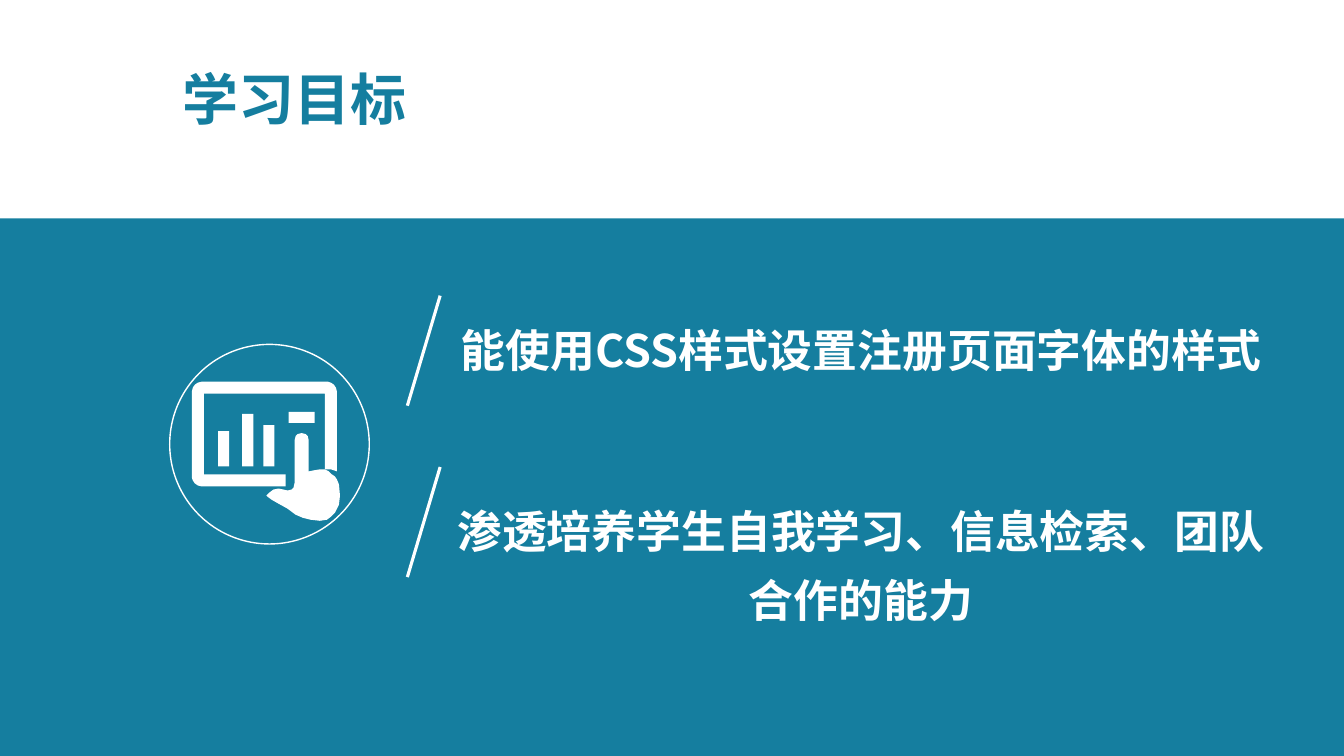
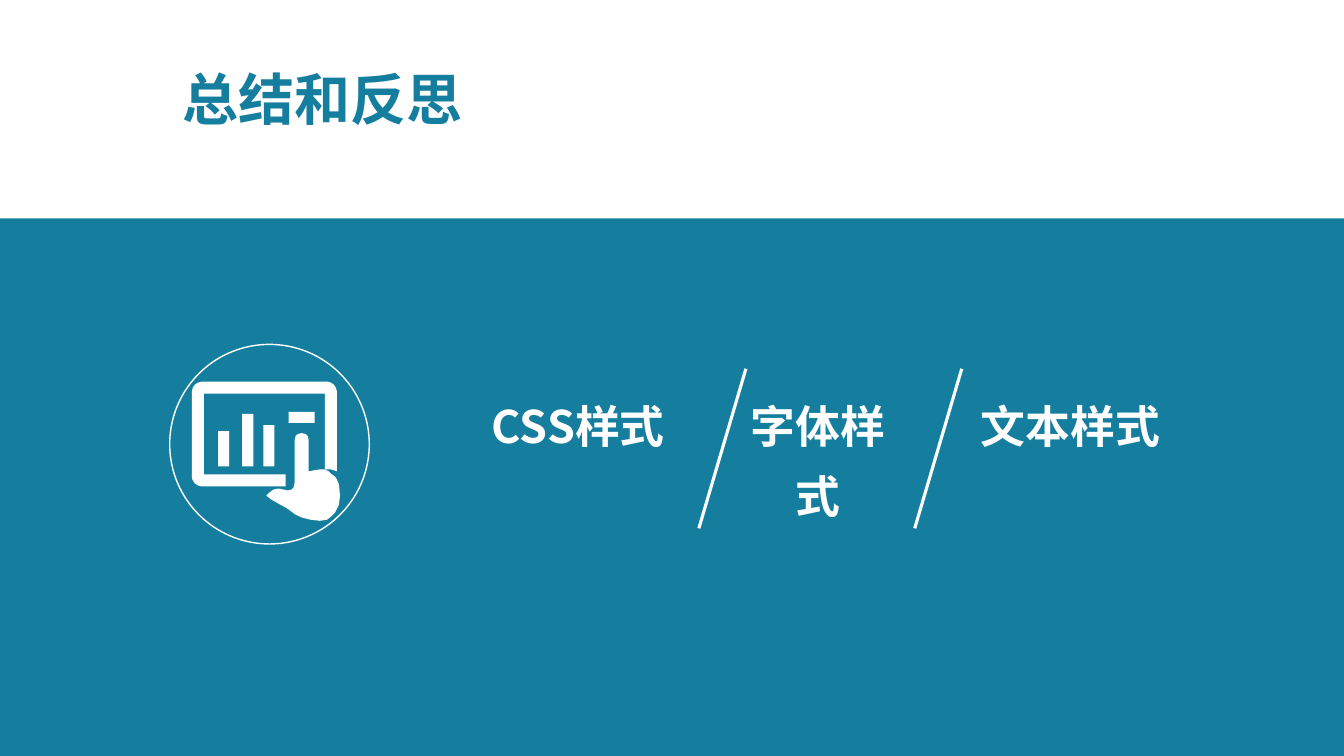
from lxml import etree
from pptx import Presentation
from pptx.dml.color import RGBColor
from pptx.enum.shapes import MSO_CONNECTOR, MSO_SHAPE
from pptx.enum.text import MSO_ANCHOR, MSO_AUTO_SIZE, PP_ALIGN
from pptx.oxml.ns import qn
from pptx.util import Inches, Pt

RECTANGLE, OVAL = MSO_SHAPE.RECTANGLE, MSO_SHAPE.OVAL
STRAIGHT = MSO_CONNECTOR.STRAIGHT
LEFT, CENTER = PP_ALIGN.LEFT, PP_ALIGN.CENTER
TOP = MSO_ANCHOR.TOP
FIXED = MSO_AUTO_SIZE.NONE

COLORS = {"teal": "157E9F", "white": "FFFFFF"}
FONT = "Noto Sans CJK SC"
COLUMNS, ROWS = 160, 90
CELL = Inches(7.5) // ROWS
TITLE_ONLY = 5

# The icon is drawn on a finer grid, counted from the ring's top left corner.
ICON_COLUMN, ICON_ROW = 20.2, 41
ICON_STEP = 0.12
RING_STEPS = 198
BAR_WIDTH, BAR_BOTTOM = 11, 121
BARS = [(48, 35), (72, 52), (93, 41)]
SCREEN_LABEL = (118, 67, 26, 11)
SCREEN = [
    (115, 141), (115, 129), (34, 129), (34, 49), (154, 49), (154, 124),
    (160, 124), (166, 126), (166, 47), (165, 43), (163, 40), (160, 38),
    (157, 37), (32, 37), (28, 38), (25, 40), (23, 43), (22, 47),
    (22, 132), (23, 135), (25, 138), (28, 140), (32, 141),
]
HAND = [
    (158, 126), (154, 124), (149, 124), (143, 125), (138, 126), (138, 95),
    (137, 91), (135, 89), (131, 88), (127, 89), (125, 91), (124, 95),
    (124, 137), (123, 142), (121, 144), (117, 145), (113, 144), (108, 143),
    (103, 144), (99, 147), (96, 150), (97, 151), (101, 154), (108, 158),
    (117, 163), (125, 169), (132, 172), (140, 174), (149, 175), (156, 174),
    (160, 171), (164, 167), (166, 163), (168, 159), (169, 150), (168, 139),
    (166, 134), (164, 131), (161, 129),
]


def cells(*counts):
    return [round(count * CELL) for count in counts]


def color(name):
    return RGBColor.from_string(COLORS[name])


class Deck:
    """Holds the shared style and the page being filled."""

    def __init__(self):
        self.deck = Presentation()
        self.deck.slide_width, self.deck.slide_height = cells(COLUMNS, ROWS)
        self.page = None

    def open_page(self, title):
        """Start a page with the parts that every page shares."""
        layout = self.deck.slide_layouts[TITLE_ONLY]
        self.page = self.deck.slides.add_slide(layout)
        self.shape(self.page.shapes, RECTANGLE, 0, 26, COLUMNS, ROWS - 26, "teal")
        self.title(title)
        self.icon()

    def title(self, text):
        box = self.page.shapes.title
        box.left, box.top, box.width, box.height = cells(20.5, 8, 42, 10.3)
        self.fill_text(box.text_frame, text, 40, "teal", LEFT, 0.9)

    def text(self, text, column, row, width, height):
        box = self.page.shapes.add_textbox(*cells(column, row, width, height))
        self.fill_text(box.text_frame, text, 32, "white", CENTER, 1.3)

    def fill_text(self, frame, text, size, color_name, alignment, spacing):
        frame.text = text
        frame.word_wrap = True
        frame.auto_size = FIXED
        frame.vertical_anchor = TOP
        para = frame.paragraphs[0]
        para.alignment = alignment
        para.line_spacing = spacing
        para.space_before = Pt(0)
        font = para.font
        font.name, font.size, font.bold = FONT, Pt(size), True
        font.color.rgb = color(color_name)
        # East Asian characters take their font from a separate element.
        properties = para._p.pPr.find(qn("a:defRPr"))
        etree.SubElement(properties, qn("a:ea"), typeface=FONT)

    def paint(self, shape, fill):
        shape.shadow.inherit = False
        shape.fill.solid()
        shape.fill.fore_color.rgb = color(fill)
        shape.line.fill.background()

    def shape(self, shapes, kind, column, row, width, height, fill):
        shape = shapes.add_shape(kind, *cells(column, row, width, height))
        self.paint(shape, fill)
        return shape

    def slash(self, column, row, width, height):
        """Draw a slanted line from the top right to the bottom left."""
        line = self.page.shapes.add_connector(
            STRAIGHT, *cells(column + width, row, column, row + height))
        line.line.color.rgb = color("white")
        line.line.width = Pt(2.25)
        etree.SubElement(line._element.spPr, qn("a:effectLst"))

    def icon(self):
        """Draw a hand on a chart screen inside a ring."""
        shapes = self.page.shapes.add_group_shape().shapes
        ring_size = RING_STEPS * ICON_STEP
        ring = self.shape(shapes, OVAL, ICON_COLUMN, ICON_ROW,
                          ring_size, ring_size, "teal")
        ring.fill.background()
        ring.line.color.rgb = color("white")
        ring.line.width = Pt(1)
        self.outline(shapes, SCREEN)
        bars = [(left, BAR_BOTTOM - height, BAR_WIDTH, height)
                for left, height in BARS]
        for left, top, width, height in bars + [SCREEN_LABEL]:
            self.shape(shapes, RECTANGLE,
                       ICON_COLUMN + left * ICON_STEP, ICON_ROW + top * ICON_STEP,
                       width * ICON_STEP, height * ICON_STEP, "white")
        self.outline(shapes, HAND)

    def outline(self, shapes, points):
        builder = shapes.build_freeform(*points[0], scale=ICON_STEP * CELL)
        builder.add_line_segments(points[1:], close=True)
        self.paint(builder.convert_to_shape(*cells(ICON_COLUMN, ICON_ROW)), "white")


def add_goals(deck):
    deck.open_page("学习目标")
    goals = [("能使用CSS样式设置注册页面字体的样式", 35.9),
             ("渗透培养学生自我学习、信息检索、团队合作的能力", 57.4)]
    for index, (goal, row) in enumerate(goals):
        deck.slash(48.5, 35.2 + index * 20.4, 3.9, 13.1)
        deck.text(goal, 52.5, row, 100, 18)


def add_summary(deck):
    deck.open_page("总结和反思")
    topics = [("CSS样式", 55.4, 26.9), ("字体样式", 86.2, 22.4),
              ("文本样式", 112.4, 30.1)]
    for topic, column, width in topics:
        deck.text(topic, column, 45, width, 18)
    for index in range(len(topics) - 1):
        deck.slash(83.2 + index * 25.7, 43.9, 5.6, 19)


def main():
    deck = Deck()
    add_goals(deck)
    add_summary(deck)
    deck.deck.save("out.pptx")


if __name__ == "__main__":
    main()
